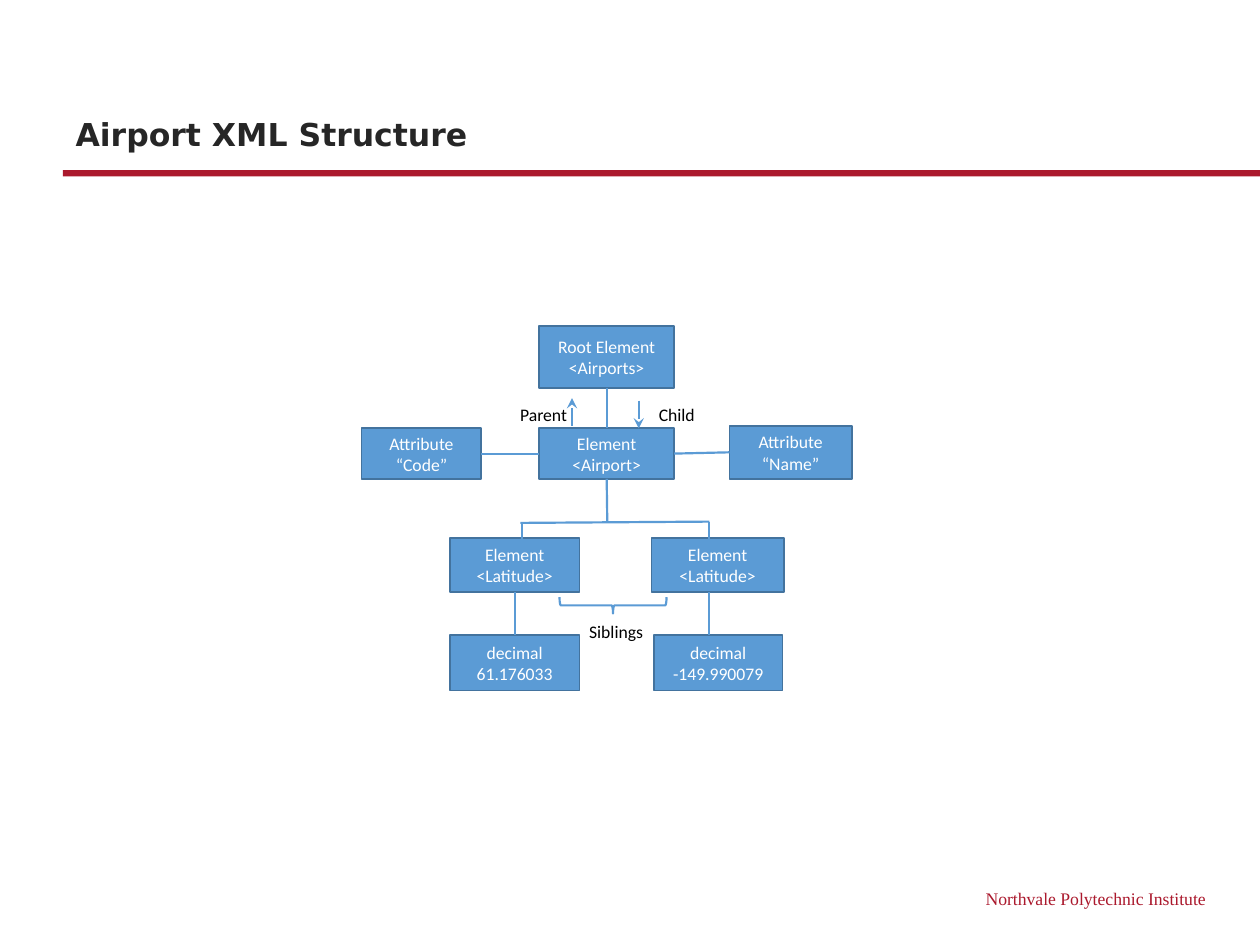
import pptx
import pptx.util
import pptx.dml.color
import pptx.enum.dml
import pptx.enum.shapes
import pptx.enum.text
import pptx.oxml
import pptx.oxml.ns

SCALE = 9144
BLUE, EDGE, RED = "5B9BD5", "43739E", "AB192D"
SHAPE = pptx.enum.shapes.MSO_SHAPE
ALIGN = pptx.enum.text.PP_ALIGN
ANCHOR = pptx.enum.text.MSO_ANCHOR
FIT = pptx.enum.text.MSO_AUTO_SIZE


def px(*nums):
    """Turn px lengths into EMU."""
    return [pptx.util.Emu(num * SCALE) for num in nums]


def rgb(code):
    """Return the colour for a hex string."""
    return pptx.dml.color.RGBColor.from_string(code)


def write(frame, lines, color, align, face="Calibri", size=10.1, bold=False):
    """Fill a text frame with evenly styled lines."""
    frame.text = "\n".join(lines)
    for para in frame.paragraphs:
        para.alignment = align
        para.font.name = face
        para.font.size = pptx.util.Pt(size)
        para.font.bold = bold
        para.font.color.rgb = rgb(color)


def add_box(slide, box, lines):
    """Add a node of the tree."""
    node = slide.shapes.add_shape(SHAPE.RECTANGLE, *px(*box))
    node.shadow.inherit = False
    node.fill.solid()
    node.fill.fore_color.rgb = rgb(BLUE)
    node.line.color.rgb = rgb(EDGE)
    node.line.width = pptx.util.Pt(1)
    node.text_frame.word_wrap = True
    node.text_frame.vertical_anchor = ANCHOR.MIDDLE
    write(node.text_frame, lines, "FFFFFF", ALIGN.CENTER)
    return node


def add_label(slide, box, text, color, align, wrap=False, face="Calibri"):
    """Add a line of plain text."""
    label = slide.shapes.add_textbox(*px(*box))
    label.text_frame.word_wrap = wrap
    label.text_frame.auto_size = FIT.SHAPE_TO_FIT_TEXT
    write(label.text_frame, [text], color, align, face)


def add_line(slide, ends, start=None, stop=None, arrow=False):
    """Add a line, joined to (node, side) pairs where given."""
    kind = pptx.enum.shapes.MSO_CONNECTOR.STRAIGHT
    line = slide.shapes.add_connector(kind, *px(*ends))
    if start:
        line.begin_connect(*start)
    if stop:
        line.end_connect(*stop)
    line.line.color.rgb = rgb(BLUE)
    line.line.width = pptx.util.Pt(1.25)
    props = line._element.spPr
    if arrow:
        tip = pptx.oxml.parse_xml(
            "<a:tailEnd %s type='stealth'/>" % pptx.oxml.ns.nsdecls("a"))
        line.line._get_or_add_ln().append(tip)
    props.append(pptx.oxml.parse_xml(
        "<a:effectLst %s/>" % pptx.oxml.ns.nsdecls("a")))


def add_head(slide, left, top, width, height):
    """Place the title and the rule below it."""
    title = slide.shapes.title
    title.left, title.top, title.width, title.height = px(left, top, width, height)
    frame = title.text_frame
    frame.word_wrap = True
    frame.auto_size = FIT.NONE
    frame.vertical_anchor = ANCHOR.BOTTOM
    write(frame, ["Airport XML Structure"], "262626", ALIGN.LEFT,
          "DejaVu Sans", 18, True)
    rule = slide.shapes.add_shape(
        SHAPE.RECTANGLE, *px(left, top + height + 9, width + 50, 5))
    rule.shadow.inherit = False
    rule.fill.solid()
    rule.fill.fore_color.rgb = rgb(RED)
    rule.line.fill.background()


def add_tree(slide, left, top):
    """Draw the tree of elements from its top left corner."""
    def at(x, y, width, height):
        """Shift a box into the tree."""
        return left + x, top + y, width, height

    def span(x1, y1, x2, y2):
        """Shift the ends of a line into the tree."""
        return left + x1, top + y1, left + x2, top + y2

    nodes = {
        "root": ((141, 0, 107, 49), ["Root Element", "<Airports>"]),
        "port": ((141, 81, 107, 40), ["Element", "<Airport>"]),
        "code": ((0, 81, 95, 40), ["Attribute", "“Code”"]),
        "name": ((292, 79, 97, 42), ["Attribute", "“Name”"]),
        "lat": ((70, 168, 103, 43), ["Element", "<Latitude>"]),
        "long": ((230, 168, 105, 43), ["Element", "<Latitude>"]),
        "north": ((70, 245, 103, 44), ["decimal", "61.176033"]),
        "west": ((232, 245, 102, 44), ["decimal", "-149.990079"]),
    }
    tree = {key: add_box(slide, at(*box), lines)
            for key, (box, lines) in nodes.items()}

    joins = [("lat", 2, "north", 0), ("port", 1, "code", 3),
             ("name", 1, "port", 3), ("port", 0, "root", 2)]
    for first, out, last, side in joins:
        add_line(slide, span(0, 0, 0, 0), (tree[first], out), (tree[last], side))

    add_line(slide, span(195, 121, 195, 155), start=(tree["port"], 2))
    for ends in [(276, 211, 276, 245), (127, 156, 127, 179),
                 (276, 155, 276, 177), (276, 155, 126, 156)]:
        add_line(slide, span(*ends))
    for ends in [(167, 79, 167, 57), (220, 59, 220, 81)]:
        add_line(slide, span(*ends), arrow=True)

    brace = slide.shapes.add_shape(SHAPE.RIGHT_BRACE, *px(*at(193, 179, 13, 85)))
    brace.rotation = 90
    brace.shadow.inherit = False
    brace.fill.background()
    brace.line.color.rgb = rgb(BLUE)
    brace.line.width = pptx.util.Pt(1.25)

    for box, text, align in [((116, 57, 59, 27), "Parent", ALIGN.LEFT),
                             ((226, 57, 49, 27), "Child", ALIGN.LEFT),
                             ((170, 229, 64, 27), "Siblings", ALIGN.CENTER)]:
        add_label(slide, at(*box), text, "000000", align)


def main():
    """Build and save the slide."""
    deck = pptx.Presentation()
    deck.slide_width, deck.slide_height = px(1000, 750)
    slide = deck.slides.add_slide(deck.slide_layouts[5])
    add_head(slide, 50, 38, 900, 88)
    add_label(slide, (600, 700, 367, 27), "Northvale Polytechnic Institute",
              RED, ALIGN.RIGHT, True, "Times New Roman")
    add_tree(slide, 287, 259)
    deck.save("out.pptx")


if __name__ == "__main__":
    main()
